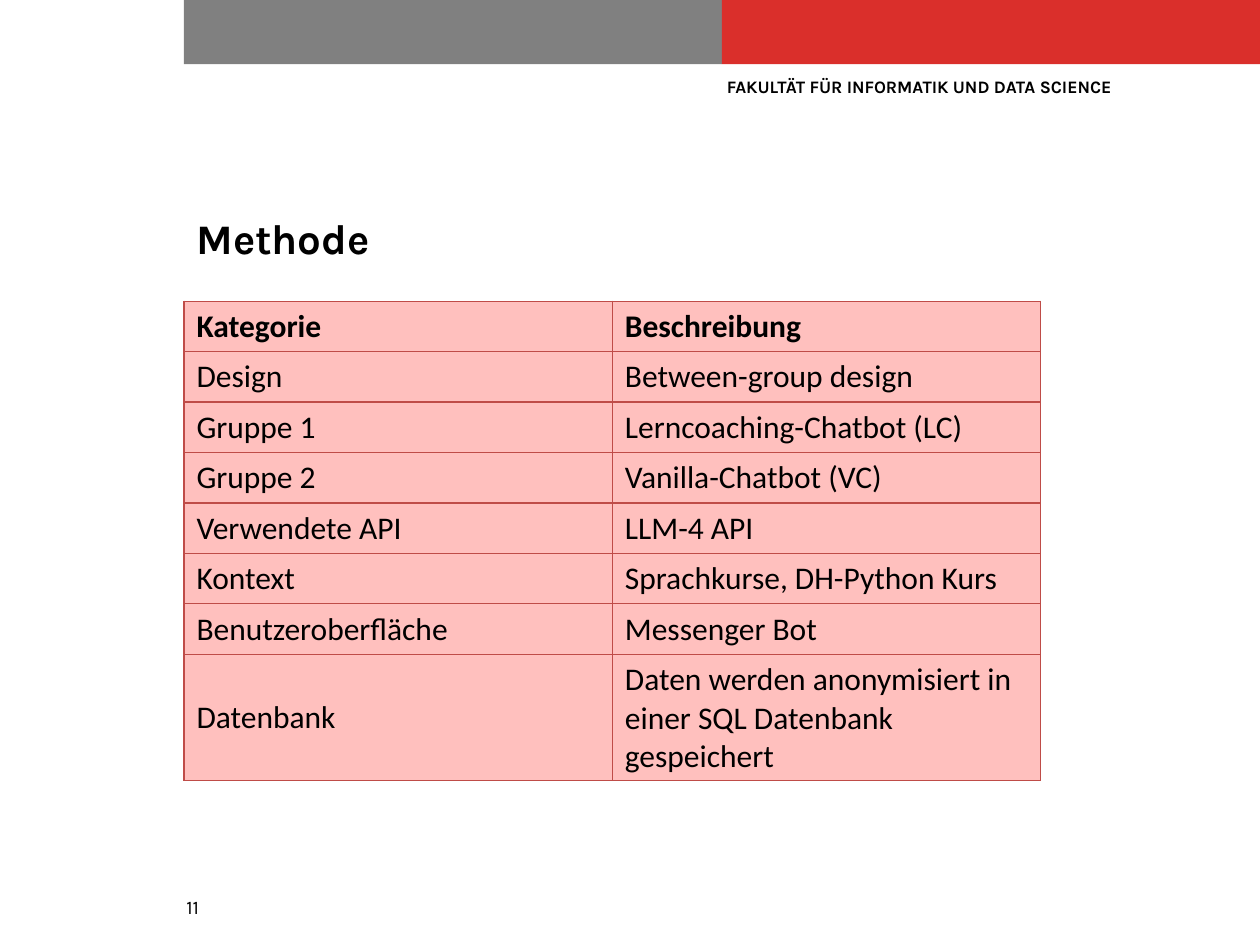
from lxml import etree
from pptx import Presentation
from pptx.dml.color import RGBColor
from pptx.enum.shapes import MSO_SHAPE
from pptx.enum.text import MSO_ANCHOR
from pptx.oxml.ns import qn
from pptx.util import Inches, Pt

COLORS = {"gray": "808080", "red": "DA2F2B", "text": "000000",
          "cell": "FFC0BE", "border": "BF4C48"}
BANDS = ["gray", "red"]
BAND_LEFT, BAND_W, BAND_H = 1.46, 4.27, 0.51
TEXTS = [
    ("11", (1.38, 7.06, 8.35, 0.29), 11, False, None, 0),
    ("FAKULTÄT FÜR INFORMATIK UND DATA SCIENCE",
     (5.77, 0.6, 4.04, 0.94), 10, True, 0, 3),
    ("Methode", (1.46, 1.64, 7.86, 0.76), 24, True, None, 0),
]
ROWS = [
    ("Kategorie", "Beschreibung"),
    ("Design", "Between-group design"),
    ("Gruppe 1", "Lerncoaching-Chatbot (LC)"),
    ("Gruppe 2", "Vanilla-Chatbot (VC)"),
    ("Verwendete API", "LLM-4 API"),
    ("Kontext", "Sprachkurse, DH-Python Kurs"),
    ("Benutzeroberfläche", "Messenger Bot"),
    ("Datenbank", "Daten werden anonymisiert in einer SQL Datenbank gespeichert"),
]
TABLE_LEFT, TABLE_TOP, COL_W, ROW_H, LAST_ROW_H = 1.46, 2.39, 3.4, 0.4, 1.0


def rgb(name):
    return RGBColor.from_string(COLORS[name])


def format_text(tf, font, size, bold):
    for p in tf.paragraphs:
        for r in p.runs:
            r.font.name = font
            r.font.size = Pt(size)
            r.font.bold = bold
            r.font.color.rgb = rgb("text")


def add_text(s, text, box, size, bold, inset, space_after):
    tf = s.shapes.add_textbox(*map(Inches, box)).text_frame
    tf.word_wrap = True
    if inset is not None:
        tf.margin_left = tf.margin_right = Inches(inset)
        tf.margin_top = tf.margin_bottom = Inches(inset)
    tf.text = text
    tf.paragraphs[0].space_after = Pt(space_after)
    format_text(tf, "Karla", size, bold)


def add_borders(cell):
    tc_pr = cell._tc.get_or_add_tcPr()
    for i, side in enumerate(("lnL", "lnR", "lnT", "lnB")):
        ln = etree.Element(qn(f"a:{side}"), w=str(Pt(0.75)))
        fill = etree.SubElement(ln, qn("a:solidFill"))
        etree.SubElement(fill, qn("a:srgbClr"), val=COLORS["border"])
        tc_pr.insert(i, ln)


def add_method_table(s):
    height = ROW_H * (len(ROWS) - 1) + LAST_ROW_H
    table = s.shapes.add_table(
        len(ROWS), 2, Inches(TABLE_LEFT), Inches(TABLE_TOP),
        Inches(2 * COL_W), Inches(height)).table
    table.horz_banding = False
    for col in table.columns:
        col.width = Inches(COL_W)
    for i, row in enumerate(ROWS):
        table.rows[i].height = Inches(LAST_ROW_H if i == len(ROWS) - 1 else ROW_H)
        for j, text in enumerate(row):
            cell = table.cell(i, j)
            cell.text_frame.text = text
            cell.vertical_anchor = MSO_ANCHOR.MIDDLE if i else MSO_ANCHOR.BOTTOM
            format_text(cell.text_frame, "Calibri", 18, i == 0)
            cell.fill.solid()
            cell.fill.fore_color.rgb = rgb("cell")
            add_borders(cell)


def main():
    prs = Presentation()
    prs.slide_width, prs.slide_height = Inches(10), Inches(7.5)
    s = prs.slides.add_slide(prs.slide_layouts[6])
    for i, color in enumerate(BANDS):
        sp = s.shapes.add_shape(
            MSO_SHAPE.RECTANGLE, Inches(BAND_LEFT + i * BAND_W), 0,
            Inches(BAND_W), Inches(BAND_H))
        sp.shadow.inherit = False
        sp.fill.solid()
        sp.fill.fore_color.rgb = rgb(color)
        sp.line.fill.background()
    for item in TEXTS:
        add_text(s, *item)
    add_method_table(s)
    prs.save("out.pptx")


if __name__ == "__main__":
    main()
